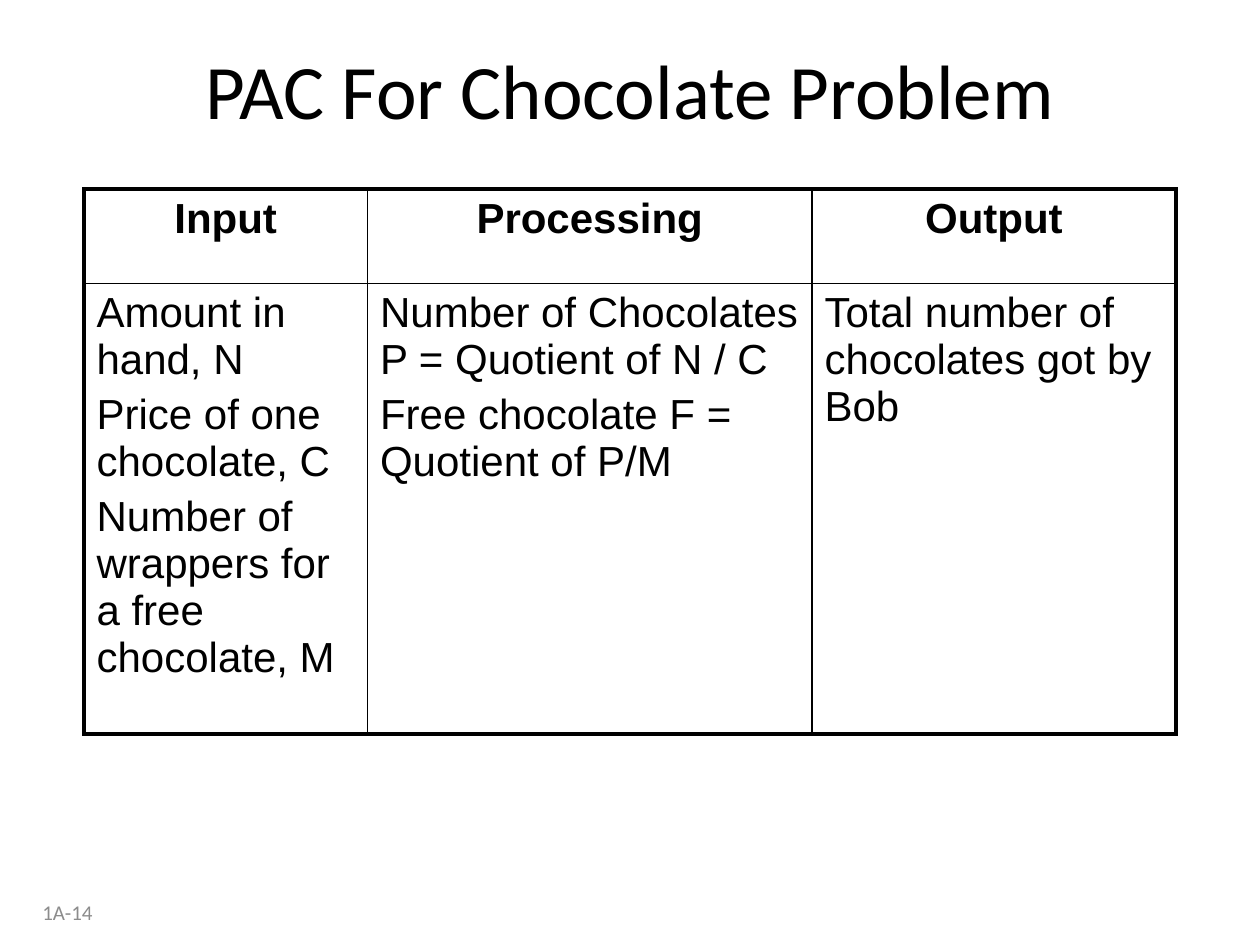
from lxml import etree
from pptx import Presentation
from pptx.dml.color import RGBColor
from pptx.enum.text import MSO_ANCHOR, PP_ALIGN
from pptx.oxml.ns import qn
from pptx.util import Pt

BLACK = RGBColor(0, 0, 0)
GRAY = RGBColor(0x8C, 0x8C, 0x8C)
LEFT, CENTER, RIGHT = PP_ALIGN.LEFT, PP_ALIGN.CENTER, PP_ALIGN.RIGHT
MIDDLE = MSO_ANCHOR.MIDDLE
THICK, THIN = 2.25, 1


class Deck:
    heading_font = "Calibri"
    table_font = "Arial"
    table_size = 24

    def __init__(self, width, height):
        self.prs = Presentation()
        self.prs.slide_width, self.prs.slide_height = Pt(width), Pt(height)
        self.s = self.prs.slides.add_slide(self.prs.slide_layouts[6])

    def format(self, p, font, size, color, align, bold=False):
        p.alignment = align
        for r in p.runs:
            r.font.name, r.font.size, r.font.bold = font, Pt(size), bold
            r.font.color.rgb = color

    def text(self, box, text, size, color, align):
        sp = self.s.shapes.add_textbox(*map(Pt, box))
        tf = sp.text_frame
        tf.word_wrap = True
        tf.vertical_anchor = MIDDLE
        tf.text = text
        self.format(tf.paragraphs[0], self.heading_font, size, color, align)

    def border(self, cell, sides):
        tc_pr = cell._tc.get_or_add_tcPr()
        for side, width in sides.items():
            ln = etree.SubElement(tc_pr, qn(f"a:ln{side}"), w=str(Pt(width)))
            fill = etree.SubElement(ln, qn("a:solidFill"))
            etree.SubElement(fill, qn("a:srgbClr"), val=str(BLACK))

    def cell(self, cell, text, header):
        tf = cell.text_frame
        tf.text = text
        for p in tf.paragraphs:
            p.space_before = Pt(self.table_size * 0.2)
            self.format(p, self.table_font, self.table_size, BLACK,
                        CENTER if header else LEFT, header)

    def table(self, left, top, widths, heights, rows):
        last_row, last_col = len(heights) - 1, len(widths) - 1
        table = self.s.shapes.add_table(
            len(heights), len(widths), Pt(left), Pt(top),
            Pt(sum(widths)), Pt(sum(heights))).table
        table.first_row = table.horz_banding = False
        for column, width in zip(table.columns, widths):
            column.width = Pt(width)
        for i, (height, texts) in enumerate(zip(heights, rows)):
            table.rows[i].height = Pt(height)
            for j, text in enumerate(texts):
                cell = table.cell(i, j)
                self.cell(cell, text, i == 0)
                self.border(cell, {
                    "L": THICK if j == 0 else THIN,
                    "R": THICK if j == last_col else THIN,
                    "T": THICK if i == 0 else THIN,
                    "B": THICK if i == last_row else THIN,
                })
                cell.fill.background()


deck = Deck(720, 540)
deck.text((24, 12, 672, 78), "PAC For Chocolate Problem", 44, BLACK, CENTER)
deck.table(48, 108, (162, 254, 208), (54, 257.5), (
    ("Input", "Processing", "Output"),
    ("Amount in hand, N\nPrice of one chocolate, C\n"
     "Number of wrappers for a free chocolate, M",
     "Number of Chocolates P = Quotient of N / C\n"
     "Free chocolate F = Quotient of P/M",
     "Total number of chocolates got by Bob"),
))
deck.text((-108, 502.5, 168, 37.5), "1A-14", 12, GRAY, RIGHT)
deck.prs.save("out.pptx")
